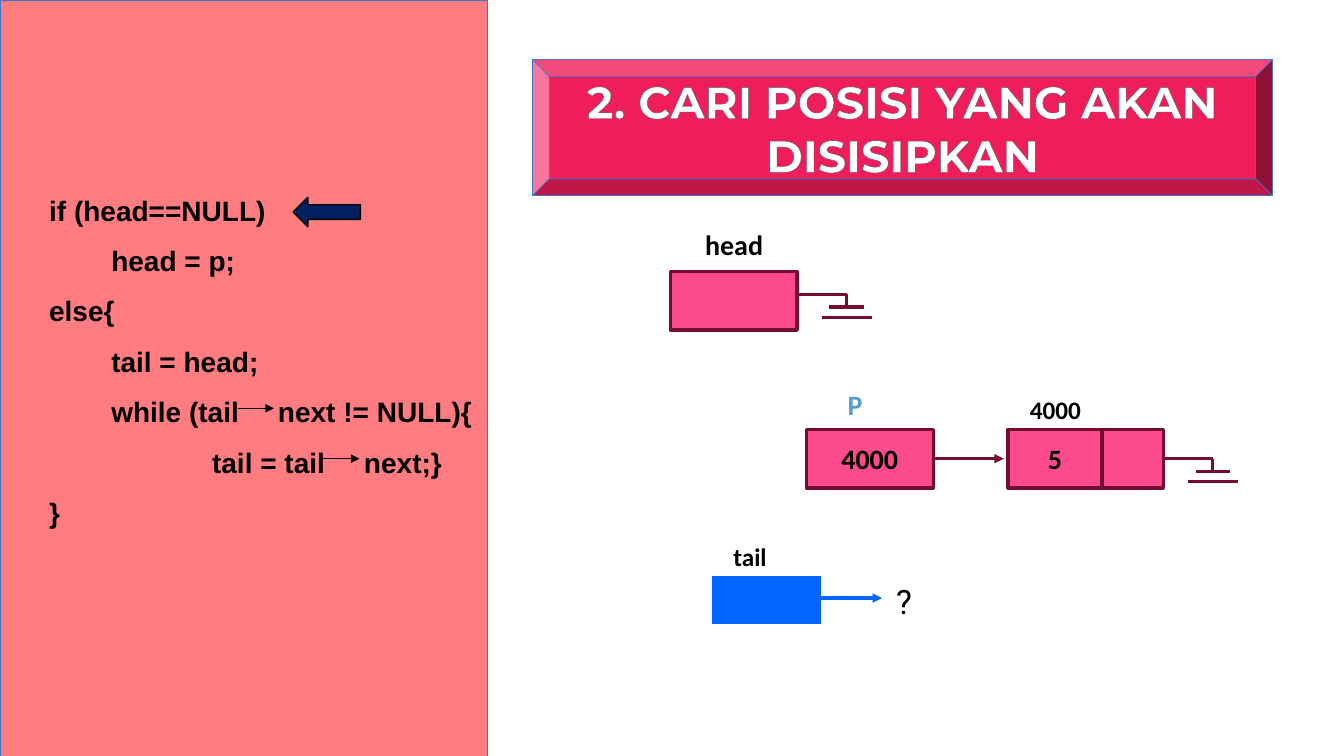
from lxml.etree import SubElement
from pptx import Presentation
from pptx.dml.color import RGBColor
from pptx.enum.shapes import MSO_CONNECTOR, MSO_SHAPE
from pptx.enum.text import MSO_ANCHOR, MSO_AUTO_SIZE, PP_ALIGN
from pptx.oxml.ns import qn
from pptx.util import Emu, Inches, Pt

COLUMNS, ROWS = 160, 90
UNIT = Inches(7.5) / ROWS
PINK, WINE, BLUE = "FB4B8A", "730B33", "0066FF"
CELL_WIDTH, CELL_HEIGHT = 15.1, 7
CODE = [
    (0, "if (head==NULL)"),
    (7.4, "head = p;"),
    (0, "else{"),
    (7.4, "tail = head;"),
    (7.4, "while (tail next != NULL){"),
    (19.4, "tail = tail next;}"),
    (0, "}"),
]


def color(hex_code):
    return RGBColor.from_string(hex_code)


def grid(*lengths):
    return [Emu(round(length * UNIT)) for length in lengths]


def style_text(holder, text, size, hex_code="000000", font="Calibri", bold=True,
               align=PP_ALIGN.CENTER, spacing=1.0, anchor=MSO_ANCHOR.TOP):
    frame = holder.text_frame
    frame.text = text
    frame.word_wrap = True
    frame.auto_size = MSO_AUTO_SIZE.NONE
    frame.vertical_anchor = anchor
    paragraph = frame.paragraphs[0]
    paragraph.alignment = align
    paragraph.line_spacing = spacing
    paragraph.space_before = Pt(0)
    format_run(paragraph.runs[0], size, hex_code, font, bold)


def format_run(run, size, hex_code, font, bold=True):
    run.font.size = Pt(size)
    run.font.name = font
    run.font.bold = bold
    run.font.color.rgb = color(hex_code)


def block(slide, kind, box, fill, line, width):
    shape = slide.shapes.add_shape(kind, *grid(*box))
    shape.shadow.inherit = False
    shape.fill.solid()
    shape.fill.fore_color.rgb = color(fill)
    shape.line.color.rgb = color(line)
    shape.line.width = Pt(width)
    return shape


def cell(slide, box, text=""):
    memory = block(slide, MSO_SHAPE.RECTANGLE, box, PINK, WINE, 2.25)
    if text:
        style_text(memory, text, 20, anchor=MSO_ANCHOR.MIDDLE)


def label(slide, box, text, size=18, **look):
    style_text(slide.shapes.add_textbox(*grid(*box)), text, size, **look)


def wire(slide, start, end, hex_code=WINE, width=2.25, arrow=False):
    line = slide.shapes.add_connector(MSO_CONNECTOR.STRAIGHT, *grid(*start, *end))
    line.line.color.rgb = color(hex_code)
    line.line.width = Pt(width)
    if arrow:
        SubElement(line.line._get_or_add_ln(), qn("a:tailEnd"), type="triangle")
    SubElement(line.element.spPr, qn("a:effectLst"))


def ground(slide, left, top):
    drop, bar, lower = left + 5.9, top + 1.5, top + 2.75
    wire(slide, (left, top), (drop, top))
    wire(slide, (drop, top), (drop, bar))
    wire(slide, (drop - 2.05, bar), (drop + 2.05, bar))
    wire(slide, (drop - 3, lower), (drop + 3, lower))


def title_banner(slide, left, top, width, height):
    banner = block(slide, MSO_SHAPE.BEVEL, (left, top, width, height), "EF1D59", "4472C4", 0.5)
    title = slide.shapes.title
    title.element.addprevious(banner.element)
    rim = height / 8
    title.left, title.top, title.width, title.height = grid(
        left + rim, top + rim, width - 2 * rim, height - 2 * rim)
    style_text(title, "2. CARI POSISI YANG AKAN DISISIPKAN", 32, "FFFFFF", "Montserrat",
               anchor=MSO_ANCHOR.MIDDLE)
    properties = title.text_frame.paragraphs[0].runs[0].font._element
    outline = SubElement(properties, qn("a:ln"), w=str(Pt(1)))
    SubElement(SubElement(outline, qn("a:solidFill")), qn("a:srgbClr"), val="525252")
    properties.insert(0, outline)


def code_panel(slide, left, top, width, height):
    panel = block(slide, MSO_SHAPE.RECTANGLE, (left, top, width, height), "FF7C80", "4472C4", 0.5)
    frame = panel.text_frame
    frame.word_wrap = True
    frame.vertical_anchor = MSO_ANCHOR.MIDDLE
    frame.margin_left, frame.margin_right, frame.margin_bottom = grid(5.85, 0, 6.6)
    frame.text = "\n".join(text for _, text in CODE)
    for paragraph, (indent, text) in zip(frame.paragraphs, CODE):
        paragraph.alignment = PP_ALIGN.LEFT
        paragraph.line_spacing = 1.5
        paragraph._p.get_or_add_pPr().set("marL", str(grid(indent)[0]))
        if "tail next" in text:
            before, after = text.split(" next")
            paragraph.runs[0].text = before
            gap, following = paragraph.add_run(), paragraph.add_run()
            gap.text, following.text = " ", "next" + after
            gap.font._element.set("spc", "2220")
        for run in paragraph.runs:
            format_run(run, 20, "000000", "Arial")
    for x, y in ((28.3, 48.6), (38.5, 54.6)):
        wire(slide, (left + x, top + y), (left + x + 4.3, top + y), "000000", 0.5, True)
    block(slide, MSO_SHAPE.LEFT_ARROW, (left + 34.9, top + 23.5, 8, 3.5), "002060", "000000", 1)


def head_pointer(slide, left, top):
    label(slide, (left + 0.4, top - 5.3, 14.4, 5.3), "head", 20, spacing=0.9)
    cell(slide, (left, top, CELL_WIDTH, CELL_HEIGHT))
    ground(slide, left + CELL_WIDTH, top + 2.75)


def new_node(slide, left, top):
    pointer = slide.placeholders[1]
    pointer.left, pointer.top, pointer.width, pointer.height = grid(left + 3.7, top - 5.1, 7.8, 5.3)
    style_text(pointer, "P", 20, "5B9BD5", align=PP_ALIGN.LEFT, spacing=0.9)
    cell(slide, (left, top, CELL_WIDTH, CELL_HEIGHT), "4000")
    middle, node = top + CELL_HEIGHT / 2, left + 24
    wire(slide, (left + CELL_WIDTH, middle), (node - 0.5, middle), arrow=True)
    label(slide, (node + 1.1, top - 4.8, 9.1, 4.8), "4000")
    cell(slide, (node, top, 11.2, CELL_HEIGHT), "5")
    cell(slide, (node + 11.2, top, 7.3, CELL_HEIGHT))
    ground(slide, node + 18.5, middle)


def tail_pointer(slide, left, top):
    label(slide, (left - 0.4, top - 4.6, 10.2, 4.8), "tail")
    block(slide, MSO_SHAPE.RECTANGLE, (left, top, 13.3, 6.1), BLUE, "FFFFFF", 2.25)
    wire(slide, (left + 12, top + 2.8), (left + 20.4, top + 2.8), BLUE, arrow=True)
    label(slide, (left + 20.9, top - 2.2, 4.2, 7.7), "?", 24, font="Roboto", bold=False,
          align=PP_ALIGN.JUSTIFY, spacing=1.5)


def main():
    deck = Presentation()
    deck.slide_width, deck.slide_height = grid(COLUMNS, ROWS)
    slide = deck.slides.add_slide(deck.slide_layouts[0])
    title_banner(slide, 63.4, 7.1, 88.1, 16.2)
    code_panel(slide, 0, 0, 58, ROWS)
    head_pointer(slide, 79.8, 32.3)
    new_node(slide, 96, 51.1)
    tail_pointer(slide, 84.6, 68.4)
    deck.save("out.pptx")


if __name__ == "__main__":
    main()
